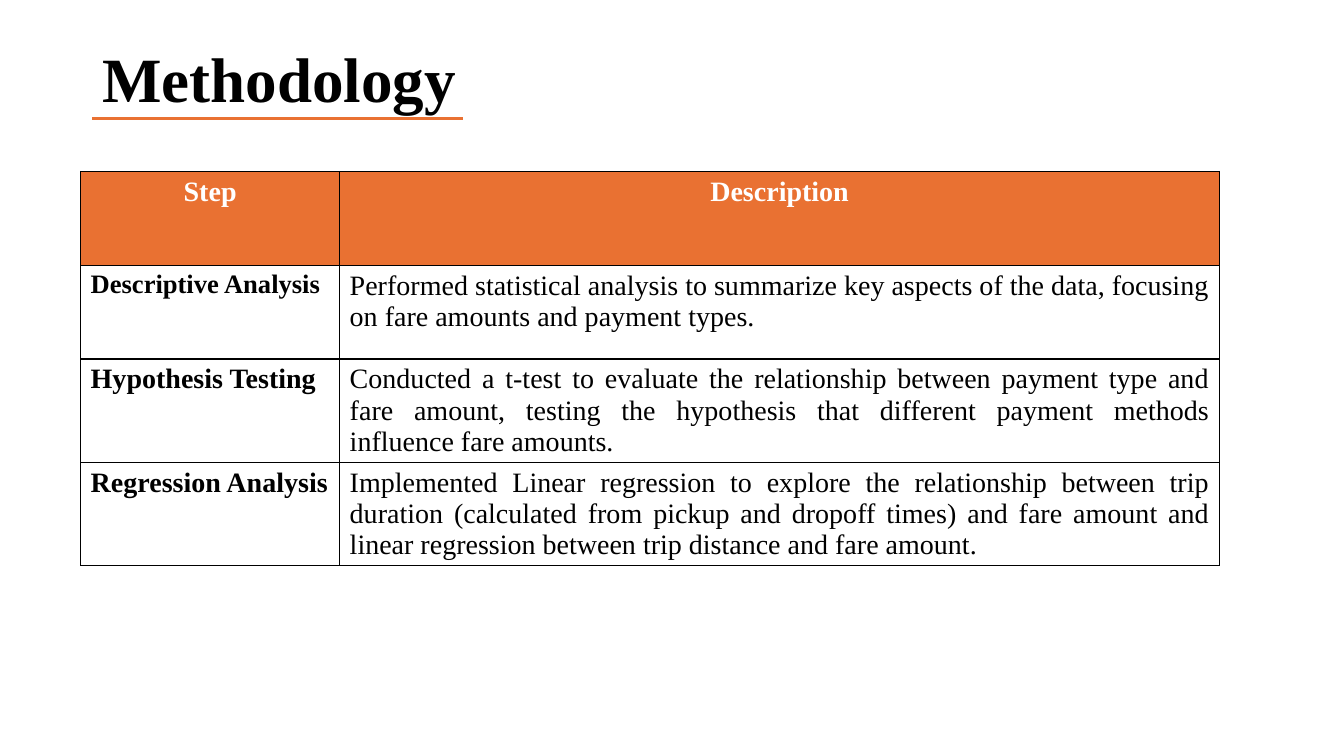
import dataclasses

import pptx
import pptx.dml.color
import pptx.enum.shapes
import pptx.enum.text
import pptx.oxml
import pptx.oxml.ns
import pptx.util

Pt = pptx.util.Pt
RGB = pptx.dml.color.RGBColor
Align = pptx.enum.text.PP_ALIGN


@dataclasses.dataclass(frozen=True)
class Theme:
    font: str = "Times New Roman"
    ink: str = "000000"
    paper: str = "FFFFFF"
    accent: str = "E97132"
    title_size: int = 45
    table_size: int = 20
    tight_size: int = 19


THEME = Theme()
HEADINGS = ("Step", "Description")
STEPS = (
    ("Descriptive Analysis", THEME.tight_size,
     "Performed statistical analysis to summarize key aspects of the data, "
     "focusing on fare amounts and payment types."),
    ("Hypothesis Testing", THEME.table_size,
     "Conducted a t-test to evaluate the relationship between payment type and "
     "fare amount, testing the hypothesis that different payment methods "
     "influence fare amounts."),
    ("Regression Analysis", THEME.table_size,
     "Implemented Linear regression to explore the relationship between trip "
     "duration (calculated from pickup and dropoff times) and fare amount and "
     "linear regression between trip distance and fare amount."),
)
COLUMN_WIDTHS = (185.04, 628.56)
ROW_HEIGHT = 67


def write(frame, text, size, color, bold, align):
    paragraph = frame.paragraphs[0]
    paragraph.alignment = align
    run = paragraph.add_run()
    run.text = text
    run.font.name = THEME.font
    run.font.size = Pt(size)
    run.font.bold = bold
    run.font.color.rgb = RGB.from_string(color)
    return paragraph


def add_title(slide, text):
    title = slide.shapes.title
    title.left, title.top, title.width, title.height = Pt(66), Pt(28.8), Pt(828), Pt(104.4)
    frame = title.text_frame
    frame.auto_size = pptx.enum.text.MSO_AUTO_SIZE.NONE
    frame.vertical_anchor = pptx.enum.text.MSO_ANCHOR.TOP
    frame.margin_top = Pt(5.75)
    heading = write(frame, text, THEME.title_size, THEME.ink, True, Align.LEFT)
    heading.line_spacing = 0.9


def add_underline(slide):
    rule = slide.shapes.add_connector(
        pptx.enum.shapes.MSO_CONNECTOR.STRAIGHT, Pt(66), Pt(84.4), Pt(331), Pt(84.4))
    rule.line.color.rgb = RGB.from_string(THEME.accent)
    rule.line.width = Pt(2)
    rule._element.spPr.append(pptx.oxml.parse_xml(
        f'<a:effectLst {pptx.oxml.ns.nsdecls("a")}/>'))


def add_borders(cell):
    properties = cell._tc.get_or_add_tcPr()
    for position, side in enumerate("LRTB"):
        properties.insert(position, pptx.oxml.parse_xml(
            f'<a:ln{side} {pptx.oxml.ns.nsdecls("a")} w="{Pt(1)}"><a:solidFill>'
            f'<a:srgbClr val="{THEME.ink}"/></a:solidFill></a:ln{side}>'))


def fill_cell(cell, text, size, color, bold, align, background):
    cell.fill.solid()
    cell.fill.fore_color.rgb = RGB.from_string(background)
    add_borders(cell)
    write(cell.text_frame, text, size, color, bold, align)


def add_steps_table(slide):
    row_count = len(STEPS) + 1
    table = slide.shapes.add_table(
        row_count, len(HEADINGS), Pt(57.6), Pt(122.4),
        Pt(sum(COLUMN_WIDTHS)), Pt(ROW_HEIGHT * row_count)).table
    table.horz_banding = False
    for column, width in zip(table.columns, COLUMN_WIDTHS):
        column.width = Pt(width)
    for row in table.rows:
        row.height = Pt(ROW_HEIGHT)
    for index, heading in enumerate(HEADINGS):
        fill_cell(table.cell(0, index), heading, THEME.table_size, THEME.paper,
                  True, Align.CENTER, THEME.accent)
    for index, (step, step_size, description) in enumerate(STEPS, start=1):
        fill_cell(table.cell(index, 0), step, step_size, THEME.ink,
                  True, Align.LEFT, THEME.paper)
        fill_cell(table.cell(index, 1), description, THEME.table_size, THEME.ink,
                  False, Align.JUSTIFY, THEME.paper)


def main():
    deck = pptx.Presentation()
    deck.slide_width, deck.slide_height = Pt(960), Pt(540)
    slide = deck.slides.add_slide(deck.slide_layouts.get_by_name("Title Only"))
    add_title(slide, "Methodology")
    add_steps_table(slide)
    add_underline(slide)
    deck.save("out.pptx")


if __name__ == "__main__":
    main()
